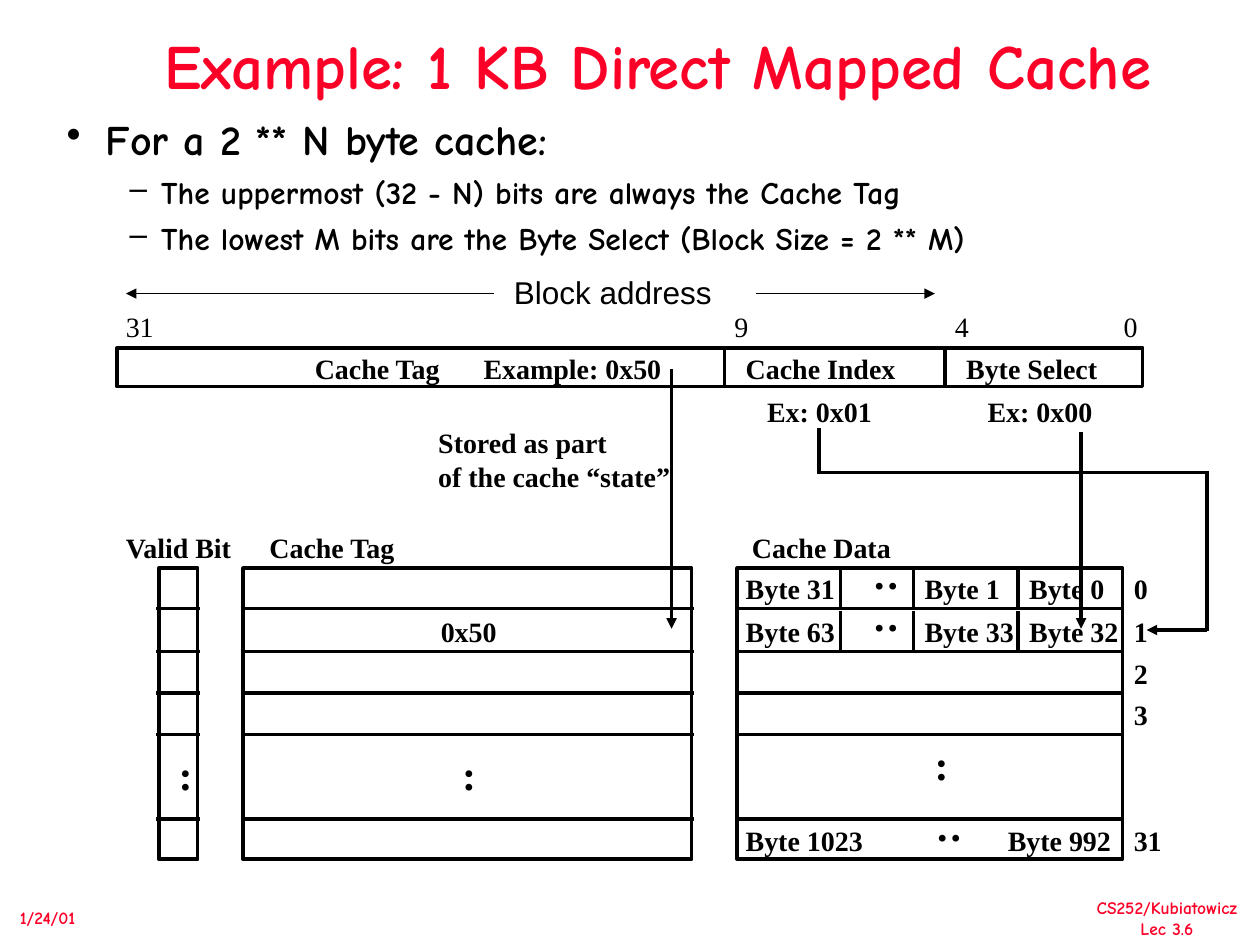
from dataclasses import dataclass

from lxml.etree import SubElement
from pptx import Presentation
from pptx.dml.color import RGBColor
from pptx.enum.shapes import MSO_CONNECTOR, MSO_SHAPE
from pptx.enum.text import MSO_AUTO_SIZE, PP_ALIGN
from pptx.oxml.ns import qn
from pptx.util import Inches, Pt


@dataclass(frozen=True)
class Theme:
    red: RGBColor = RGBColor(0xFC, 0x01, 0x28)
    black: RGBColor = RGBColor(0, 0, 0)
    heading_font: str = "Comic Neue"
    diagram_font: str = "Times New Roman"
    plain_font: str = "Arial"
    title: int = 36
    body: int = 24
    sub: int = 18
    label: int = 16
    dots: int = 24
    footer: int = 10
    heavy: int = 2
    thin: int = 1


T = Theme()
TOP, BOTTOM = 4.51, 6.82
ROW_LINES = (4.83, 5.17, 5.5, 5.83, 6.5)
ROW_TEXT = (4.49, 4.83, 5.16, 5.49, 6.49)


def add_run(p, text, size, font, color, bold):
    r = p.add_run()
    r.text = text
    r.font.size, r.font.name, r.font.bold = Pt(size), font, bold
    r.font.color.rgb = color


def add_box(s, x, y, w, h, inset=(0.1, 0.05), wrap=False):
    sp = s.shapes.add_textbox(Inches(x), Inches(y), Inches(w), Inches(h))
    tf = sp.text_frame
    tf.word_wrap, tf.auto_size = wrap, MSO_AUTO_SIZE.NONE
    tf.margin_left = tf.margin_right = Inches(inset[0])
    tf.margin_top = tf.margin_bottom = Inches(inset[1])
    return sp


def add_label(s, x, y, w, h, *lines, size=T.label, font=T.diagram_font,
              color=T.black, bold=True, align=PP_ALIGN.LEFT):
    sp = add_box(s, x, y, w, h)
    tf = sp.text_frame
    for i, line in enumerate(lines):
        p = tf.add_paragraph() if i else tf.paragraphs[0]
        p.alignment = align
        add_run(p, line, size, font, color, bold)
    return sp


def add_dots(s, x, y, rotation=0):
    add_label(s, x, y, 0.31, 0.5, ":", size=T.dots).rotation = rotation


def add_frame(s, x, y, w, h):
    sp = s.shapes.add_shape(MSO_SHAPE.RECTANGLE, Inches(x), Inches(y), Inches(w), Inches(h))
    sp.shadow.inherit = False
    sp.fill.background()
    sp.line.color.rgb = T.black
    sp.line.width = Pt(T.heavy)


def add_line(s, x1, y1, x2, y2, width=T.heavy, arrow=False):
    c = s.shapes.add_connector(MSO_CONNECTOR.STRAIGHT,
                               Inches(x1), Inches(y1), Inches(x2), Inches(y2))
    c.line.color.rgb = T.black
    c.line.width = Pt(width)
    if arrow:
        SubElement(c.line._get_or_add_ln(), qn("a:tailEnd"), type="triangle")
    SubElement(c._element.spPr, qn("a:effectLst"))


def add_bullet(p, char, margin, hang):
    pPr = p._p.get_or_add_pPr()
    pPr.set("marL", str(Inches(margin)))
    pPr.set("indent", str(-Inches(hang)))
    clr = SubElement(pPr, qn("a:buClr"))
    SubElement(clr, qn("a:srgbClr"), val=str(T.black))
    SubElement(pPr, qn("a:buChar"), char=char)


def add_heading(s):
    p = add_box(s, 0.68, 0.25, 9.08, 0.6, (0.07, 0.03), True).text_frame.paragraphs[0]
    p.alignment, p.line_spacing = PP_ALIGN.CENTER, 0.9
    add_run(p, "Example: 1 KB Direct Mapped Cache", T.title, T.heading_font, T.red, True)


def add_body(s):
    tf = add_box(s, 0.46, 0.92, 8.96, 1.14, (0.07, 0.03), True).text_frame
    items = (
        (0, "For a 2 ** N byte cache:"),
        (1, "The uppermost (32 - N) bits are always the Cache Tag"),
        (1, "The lowest M bits are the Byte Select (Block Size = 2 ** M)"),
    )
    for i, (level, text) in enumerate(items):
        p = tf.add_paragraph() if i else tf.paragraphs[0]
        p.level, p.line_spacing = level, 0.9
        if i:
            p.space_before = Pt(6.8)
        add_bullet(p, *(("–", 0.75, 0.25) if level else ("•", 0.31, 0.31)))
        add_run(p, text, T.sub if level else T.body, T.heading_font, T.black, True)


def add_address(s):
    add_label(s, 3.98, 2.12, 1.77, 0.4, "Block address",
              size=T.sub, font=T.plain_font, bold=False)
    add_line(s, 6, 2.33, 7.42, 2.33, T.thin, True)
    add_line(s, 3.92, 2.33, 1, 2.33, T.thin, True)
    for x, w, bit in ((0.9, 0.42, "31"), (5.73, 0.31, "9"),
                      (7.48, 0.31, "4"), (8.82, 0.31, "0")):
        add_label(s, x, 2.41, w, 0.36, bit, bold=False)
    add_frame(s, 0.93, 2.76, 8.14, 0.31)
    for x in (5.75, 7.5):
        add_line(s, x, 2.76, x, 3.07)
    for x, w, text in ((2.4, 1.21, "Cache Tag"), (3.74, 1.61, "Example: 0x50"),
                       (5.82, 1.39, "Cache Index"), (7.57, 1.24, "Byte Select")):
        add_label(s, x, 2.74, w, 0.36, text)
    for x, text in ((5.99, "Ex: 0x01"), (7.74, "Ex: 0x00")):
        add_label(s, x, 3.08, 1.03, 0.36, text)
    add_label(s, 3.38, 3.33, 2.04, 0.63, "Stored as part", "of the cache “state”")


def add_column(s, x, w, overhang=0.0):
    add_frame(s, x, TOP, w, BOTTOM - TOP)
    for y in ROW_LINES:
        add_line(s, x - overhang, y, x + w + overhang, y)


def add_cache(s):
    for x, w, overhang in ((1.26, 0.31, 0.02), (1.93, 3.56, 0.02), (5.85, 3.06, 0)):
        add_column(s, x, w, overhang)
    for x, w, text in ((0.9, 1.05, "Valid Bit"), (2.04, 1.21, "Cache Tag"),
                       (5.87, 1.3, "Cache Data")):
        add_label(s, x, 4.16, w, 0.36, text)
    add_label(s, 3.4, ROW_TEXT[1], 0.64, 0.36, "0x50")
    for x, y in ((1.32, 5.89), (3.57, 5.89), (7.32, 5.81)):
        add_dots(s, x, y)
    for y, index in zip(ROW_TEXT, ("0", "1", "2", "3", "31")):
        add_label(s, 8.9, y, 0.2 + 0.11 * len(index), 0.36, index)


def add_bytes(s):
    rows = (("Byte 31", "Byte 1", "Byte 0"), ("Byte 63", "Byte 33", "Byte 32"))
    for i, row in enumerate(rows):
        for x, text in zip((5.82, 7.24, 8.07), row):
            add_label(s, x, ROW_TEXT[i], 0.14 + 0.11 * len(text), 0.36, text)
        for x in (6.67, 7.25, 8.08):
            add_line(s, x, TOP + 0.34 * i, x, TOP + 0.34 * i + 0.31)
        add_dots(s, 6.82, ROW_TEXT[i] - 0.09, 270)
    add_label(s, 5.82, ROW_TEXT[-1], 1.13, 0.36, "Byte 1023")
    add_label(s, 7.9, ROW_TEXT[-1], 1.02, 0.36, "Byte 992")
    add_dots(s, 7.32, 6.4, 270)


def add_lookup(s):
    add_line(s, 5.33, 2.93, 5.33, 4.99, arrow=True)
    add_line(s, 8.58, 3.43, 8.58, 4.99, arrow=True)
    add_line(s, 6.5, 3.4, 6.5, 3.76)
    add_line(s, 6.5, 3.75, 9.58, 3.75)
    add_line(s, 9.58, 3.74, 9.58, 5.01)
    add_line(s, 9.58, 5, 9.1, 5, arrow=True)


def add_footer(s):
    style = dict(size=T.footer, font=T.heading_font, color=T.red)
    add_label(s, 0.06, 7.15, 0.64, 0.27, "1/24/01", **style)
    add_label(s, 8.6, 7.07, 1.32, 0.43, "CS252/Kubiatowicz", "Lec 3.6",
              align=PP_ALIGN.CENTER, **style)


def main():
    prs = Presentation()
    prs.slide_width, prs.slide_height = Inches(10), Inches(7.5)
    s = prs.slides.add_slide(prs.slide_layouts[6])
    for part in (add_footer, add_heading, add_body, add_address,
                 add_cache, add_bytes, add_lookup):
        part(s)
    prs.save("out.pptx")


if __name__ == "__main__":
    main()
